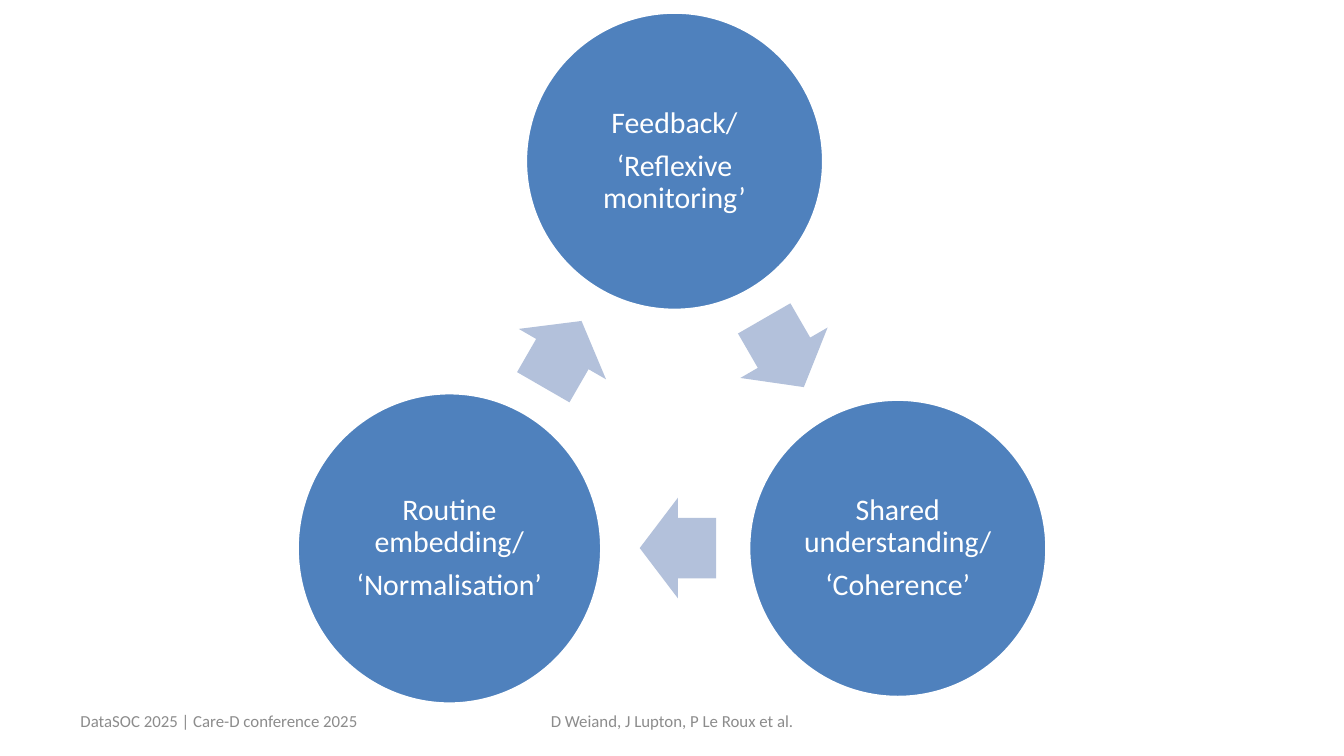
"""Build a slide with a three-stage cycle of circles and arrows."""
from pptx import Presentation
from pptx.dml.color import RGBColor
from pptx.enum.shapes import MSO_SHAPE
from pptx.enum.text import MSO_ANCHOR, PP_ALIGN
from pptx.util import Pt

OVAL, ARROW = MSO_SHAPE.OVAL, MSO_SHAPE.RIGHT_ARROW
MIDDLE = MSO_ANCHOR.MIDDLE
LEFT, CENTER = PP_ALIGN.LEFT, PP_ALIGN.CENTER
BLUE, PALE, WHITE, GREY = "4F81BD", "B3C1DB", "FFFFFF", "8C8C8C"


def rgb(value):
    return RGBColor.from_string(value)


def add_text(tf, lines, size, color, align):
    tf.word_wrap = True
    tf.vertical_anchor = MIDDLE
    tf.text = "\n".join(lines)
    for p in tf.paragraphs:
        p.alignment = align
        for r in p.runs:
            r.font.name = "Calibri"
            r.font.size = Pt(size)
            r.font.color.rgb = rgb(color)


prs = Presentation()
prs.slide_width, prs.slide_height = Pt(720), Pt(405)
s = prs.slides.add_slide(prs.slide_layouts[6])

stages = [
    (361.4, 86.4, 160, 160, ["Feedback/", "‘Reflexive monitoring’"]),
    (481, 293.8, 160, 160, ["Shared understanding/", "‘Coherence’"]),
    (240.8, 293.8, 163.4, 167, ["Routine embedding/", "‘Normalisation’"]),
]
for cx, cy, w, h, lines in stages:
    sp = s.shapes.add_shape(OVAL, Pt(cx - w / 2), Pt(cy - h / 2), Pt(w), Pt(h))
    sp.shadow.inherit = False
    sp.fill.solid()
    sp.fill.fore_color.rgb = rgb(BLUE)
    sp.line.color.rgb = rgb(WHITE)
    sp.line.width = Pt(2)
    tf = sp.text_frame
    tf.margin_left = tf.margin_right = tf.margin_top = tf.margin_bottom = Pt(1.5)
    add_text(tf, lines, 16, WHITE, CENTER)
    for p in tf.paragraphs:
        p.line_spacing = 0.9
        p.space_after = Pt(6)

arrow_h = 54
for cx, cy, w, angle in [(420, 189, 42.5, 60), (363.2, 293.6, 41, 180), (301.3, 189.7, 41, 300)]:
    sp = s.shapes.add_shape(ARROW, Pt(cx - w / 2), Pt(cy - arrow_h / 2), Pt(w), Pt(arrow_h))
    sp.shadow.inherit = False
    sp.adjustments[0], sp.adjustments[1] = 0.6, 0.5
    sp.rotation = angle
    sp.fill.solid()
    sp.fill.fore_color.rgb = rgb(PALE)
    sp.line.fill.background()

footers = [
    (36, 168, "DataSOC 2025 | Care-D conference 2025", LEFT),
    (246, 228, "D Weiand, J Lupton, P Le Roux et al.", CENTER),
]
for x, w, text, align in footers:
    sp = s.shapes.add_textbox(Pt(x), Pt(375.3), Pt(w), Pt(21.6))
    add_text(sp.text_frame, [text], 9, GREY, align)

prs.save("out.pptx")
